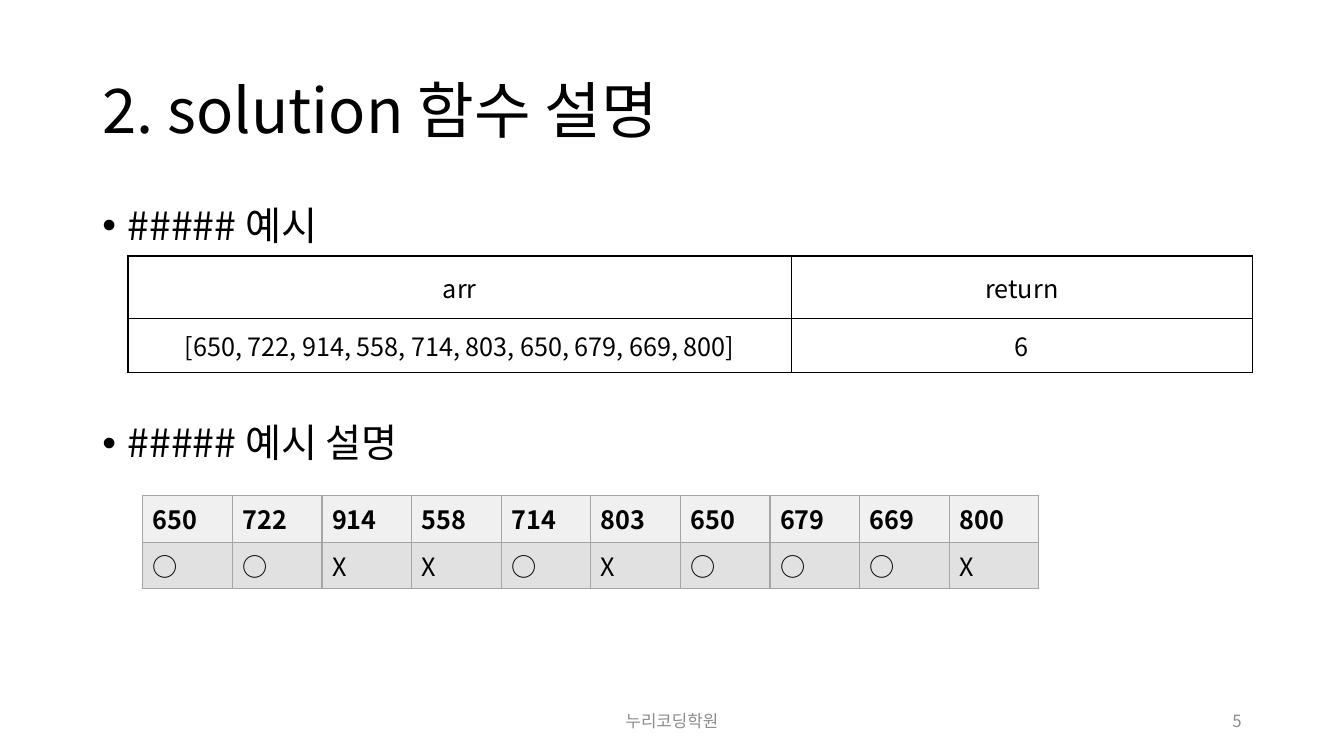
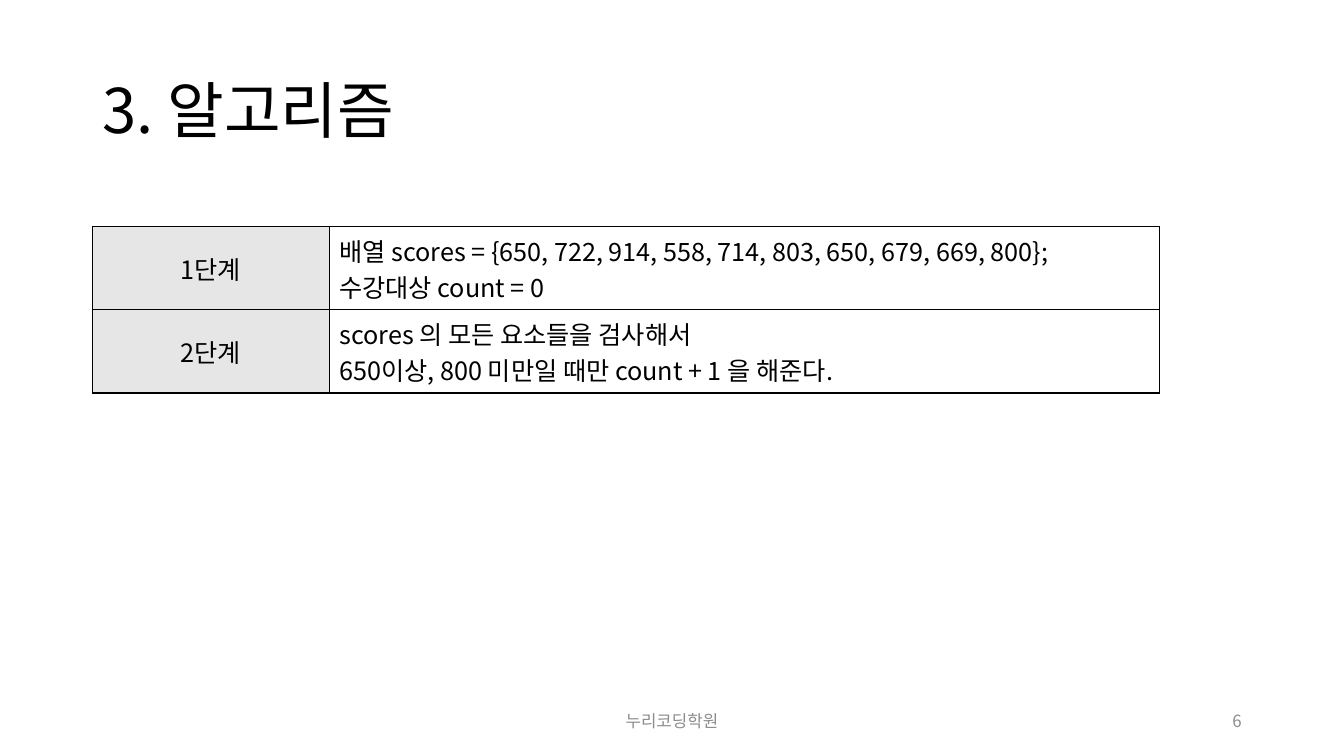
from pptx import Presentation, util as u
from pptx.dml.color import RGBColor
from pptx.enum import text as t
from lxml import etree

# Shared look
FONT = "Noto Sans CJK KR"
INK, MUTED, RULE = "000000", "8C8C8C", "A5A5A5"
PALE, GREY, SIDE = "F0F0F0", "E1E1E1", "E7E6E6"
FOOT = "누리코딩학원"
NS = "http://schemas.openxmlformats.org/drawingml/2006/main"
LEFT, MID, RIGHT = t.PP_ALIGN.LEFT, t.PP_ALIGN.CENTER, t.PP_ALIGN.RIGHT
TOP, CORE = t.MSO_ANCHOR.TOP, t.MSO_ANCHOR.MIDDLE

# Grid: 160 columns by 90 rows
COLS, ROWS = 160, 90
WIDE, HIGH = u.Inches(13.333), u.Inches(7.5)
EDGE, SPAN = 11, 138

SCORES = [650, 722, 914, 558, 714, 803, 650, 679, 669, 800]
LIST = ", ".join(map(str, SCORES))


def col(n):
    return round(WIDE * n / COLS)


def row(n):
    return round(HIGH * n / ROWS)


def box(x, y, w, h):
    return col(x), row(y), col(w), row(h)


def tint(code):
    return RGBColor.from_string(code)


def node(parent, tag, **attrs):
    return etree.SubElement(parent, f"{{{NS}}}{tag}", **attrs)


def write(frame, lines, size=18, color=INK, bold=False, align=LEFT,
          lead=None, gaps=None):
    """Fill a text frame, one paragraph a line."""
    for i, line in enumerate(lines):
        para = frame.paragraphs[0] if i == 0 else frame.add_paragraph()
        para.alignment = align
        if lead:
            para.line_spacing = lead
        if gaps:
            para.space_before = u.Pt(gaps[i])
        run = para.add_run()
        run.text = line
        font = run.font
        font.name, font.size, font.bold = FONT, u.Pt(size), bold
        font.color.rgb = tint(color)
        node(run._r.get_or_add_rPr(), "ea", typeface=FONT)


def place(shape, area, anchor):
    shape.left, shape.top, shape.width, shape.height = area
    frame = shape.text_frame
    frame.word_wrap = True
    frame.auto_size = t.MSO_AUTO_SIZE.NONE
    frame.vertical_anchor = anchor
    return frame


def label(slide, line, x, w, align):
    area = box(x, 83.4, w, 4.8)
    frame = place(slide.shapes.add_textbox(*area), area, CORE)
    write(frame, [line], size=12, color=MUTED, align=align)


def page(deck, layout, title, num):
    """Slide with the shared title and footer."""
    slide = deck.slides.add_slide(deck.slide_layouts[layout])
    frame = place(slide.shapes.title, box(EDGE, 4.8, SPAN, 17.4), CORE)
    write(frame, [title], size=44, lead=0.9)
    label(slide, FOOT, 53, 54, MID)
    label(slide, str(num), 113, 36, RIGHT)
    return slide


def bullets(slide, lines, gaps):
    frame = place(slide.placeholders[1], box(EDGE, 24, SPAN, 57.1), TOP)
    write(frame, lines, size=28, lead=0.9, gaps=gaps)
    for para in frame.paragraphs:
        props = para._p.get_or_add_pPr()
        props.set("marL", str(col(3)))
        props.set("indent", str(-col(3)))
        node(props, "buFont", typeface="Arial")
        node(props, "buChar", char="•")


def border(cell, color):
    props = cell._tc.get_or_add_tcPr()
    for side in ("lnL", "lnR", "lnT", "lnB"):
        line = node(props, side, w=str(u.Pt(1)))
        node(node(line, "solidFill"), "srgbClr", val=color)


def grid(slide, x, y, wide, high, data, style, line=INK, anchor=CORE):
    """Table; style(r, c) gives the fill and the text format of a cell."""
    area = box(x, y, sum(wide), sum(high))
    table = slide.shapes.add_table(len(high), len(wide), *area).table
    table.first_row = table.horz_banding = False
    for c, w in enumerate(wide):
        table.columns[c].width = col(w)
    for r, h in enumerate(high):
        table.rows[r].height = row(h)
        for c, text in enumerate(data[r]):
            cell = table.cell(r, c)
            fill, look = style(r, c)
            cell.vertical_anchor = anchor
            border(cell, line)
            if fill:
                cell.fill.solid()
                cell.fill.fore_color.rgb = tint(fill)
            else:
                cell.fill.background()
            write(cell.text_frame, text.split("\n"), **look)


def example(deck):
    slide = page(deck, 1, "2. solution 함수 설명", 5)
    bullets(slide, ["##### 예시", "##### 예시 설명"], [10, 125])
    # Input and result
    grid(slide, 15.24, 30.48, [79, 54.84], [7.4, 6.5],
         [["arr", "return"], [f"\u00a0[{LIST}] ", "6"]],
         lambda r, c: (None, {"align": MID}))
    # Which scores count
    marks = ["○" if 650 <= n < 800 else "X" for n in SCORES]
    grid(slide, 17, 59, [10.67] * len(SCORES), [4.87] * 2,
         [[str(n) for n in SCORES], marks],
         lambda r, c: ((PALE, GREY)[r], {"bold": r == 0}),
         line=RULE, anchor=TOP)


def steps(deck):
    slide = page(deck, 5, "3. 알고리즘", 6)
    data = [
        ["1단계", f"배열 scores = {{{LIST}}};\n수강대상 count = 0"],
        ["2단계", "scores 의 모든 요소들을 검사해서\n"
                "650이상, 800 미만일 때만 count + 1 을 해준다."],
    ]
    grid(slide, EDGE, 27, [28.2, 98.84], [9.65, 9.87], data,
         lambda r, c: ((SIDE, None)[c], {"align": (MID, LEFT)[c]}))


def main():
    deck = Presentation()
    deck.slide_width, deck.slide_height = WIDE, HIGH
    example(deck)
    steps(deck)
    deck.save("out.pptx")


main()
